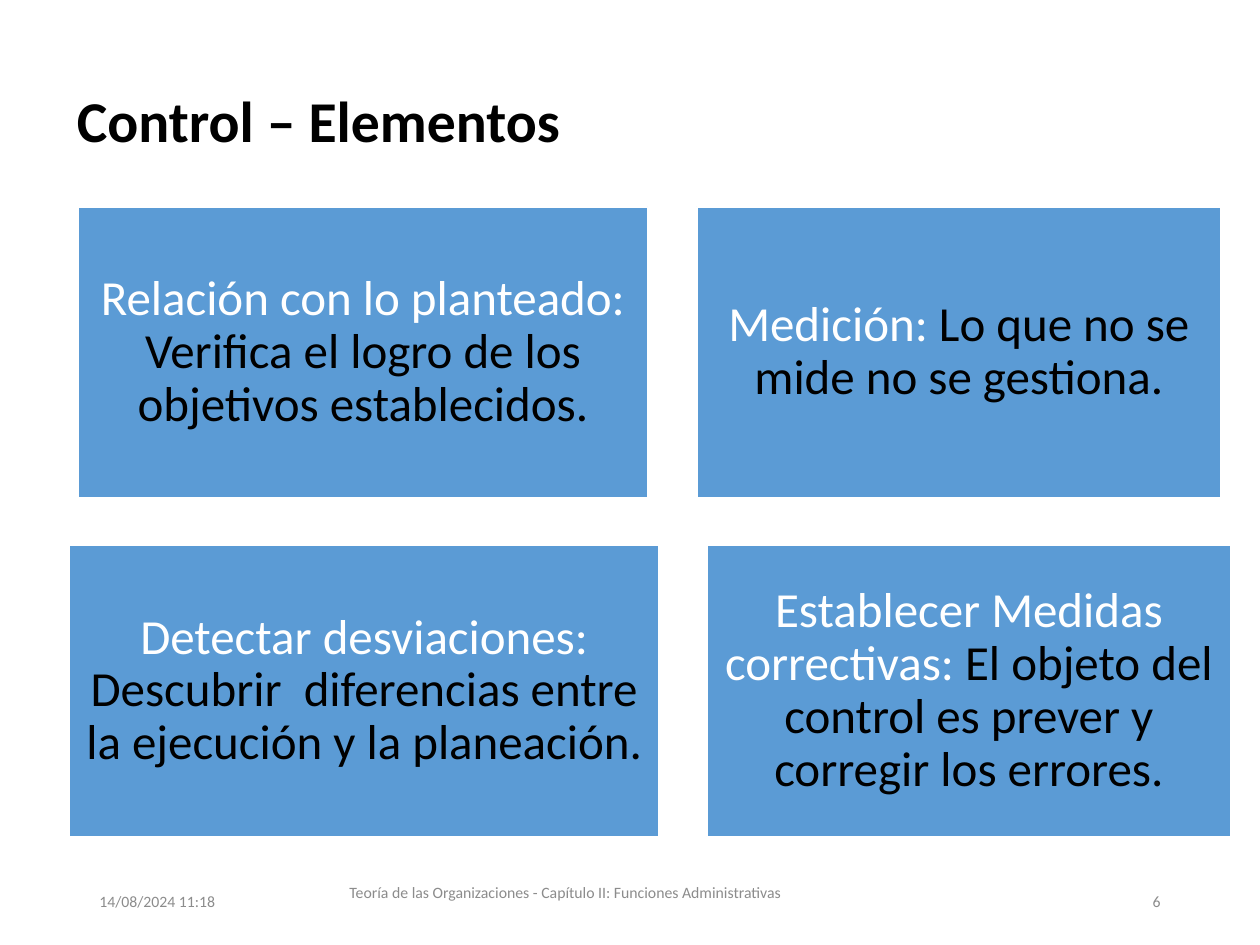
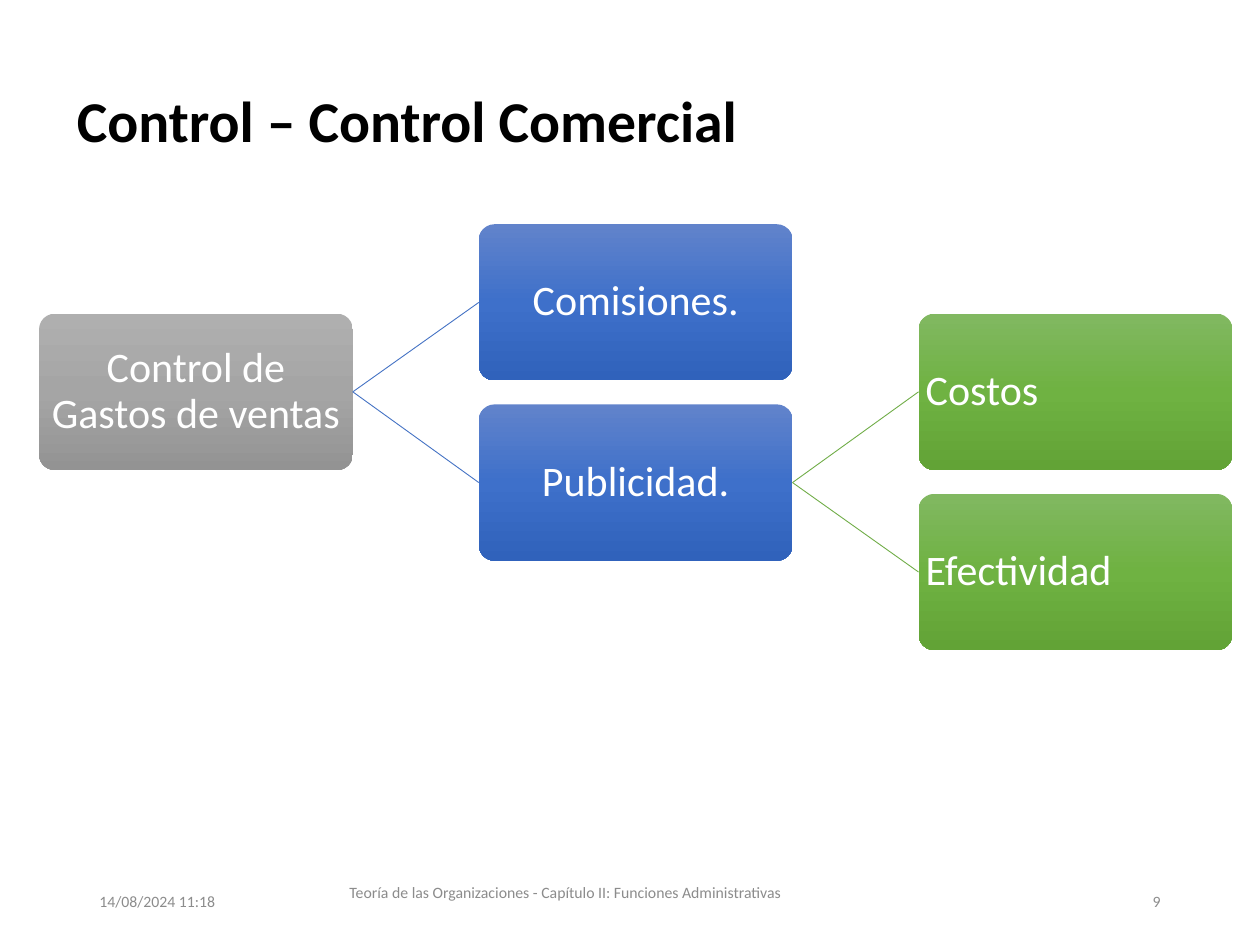
import copy
import pptx
import pptx.util
import pptx.dml.color
import pptx.enum.shapes
import pptx.enum.text
import pptx.oxml
import pptx.oxml.ns

SCALE = 9144
WHITE, BLACK, GREY, STEEL = "FFFFFF", "000000", "8C8C8C", "5B9BD5"
BLUE, GREEN = "4472C4", "70AD47"
ASH = ["AFAFAF", "A5A5A5", "939393"]
NAVY = ["6183CB", "3E70CA", "3062BB"]
LEAF = ["81B861", "6FB242", "62A336"]
ALIGN = pptx.enum.text.PP_ALIGN
KIND = pptx.enum.shapes.MSO_SHAPE


def px(n):
    return pptx.util.Emu(n * SCALE)


def tint(code):
    return pptx.dml.color.RGBColor.from_string(code)


def apply(item, form):
    for name, value in form.items():
        setattr(item, name, value)


class Deck:
    font = "Calibri"
    date = "14/08/2024 11:18"
    foot = "Teoría de las Organizaciones - Capítulo II: Funciones Administrativas"

    def __init__(self):
        self.show = pptx.Presentation()
        apply(self.show, {"slide_width": px(1000), "slide_height": px(750)})
        self.slide = None

    def page(self, title, number):
        self.slide = self.show.slides.add_slide(self.show.slide_layouts[5])
        head = self.slide.shapes.title
        self.place(head, 51, 36, 900, 125)
        self.fill_text(head, [(title, BLACK)], 33, ALIGN.LEFT, bold=True, lead=0.9)
        self.label(self.date, 69, 695, 225, 40, ALIGN.LEFT)
        self.label(self.foot, 187, 683, 523, 50, ALIGN.CENTER)
        self.label(str(number), 706, 695, 225, 40, ALIGN.RIGHT)

    def place(self, item, x, y, w, h):
        apply(item, {"left": px(x), "top": px(y), "width": px(w), "height": px(h)})

    def fill_text(self, item, parts, size, align, inset=None, bold=False, lead=1.0):
        frame = item.text_frame
        apply(frame, {"word_wrap": True,
                      "auto_size": pptx.enum.text.MSO_AUTO_SIZE.NONE,
                      "vertical_anchor": pptx.enum.text.MSO_ANCHOR.MIDDLE})
        if inset is not None:
            sides = ["left", "right", "top", "bottom"]
            apply(frame, {f"margin_{side}": px(inset) for side in sides})
        para = frame.paragraphs[0]
        apply(para, {"alignment": align, "line_spacing": lead})
        for text, color in parts:
            run = para.add_run()
            run.text = text
            apply(run.font, {"name": self.font, "size": pptx.util.Pt(size), "bold": bold})
            run.font.color.rgb = tint(color)

    def label(self, text, x, y, w, h, align):
        box = self.slide.shapes.add_textbox(px(x), px(y), px(w), px(h))
        self.fill_text(box, [(text, GREY)], 9, align)

    def shape(self, kind, x, y, w, h):
        item = self.slide.shapes.add_shape(kind, px(x), px(y), px(w), px(h))
        item.shadow.inherit = False
        return item

    def card(self, head, body, x, y, w, h):
        item = self.shape(KIND.RECTANGLE, x, y, w, h)
        item.fill.solid()
        item.fill.fore_color.rgb = tint(STEEL)
        item.line.color.rgb = tint(WHITE)
        item.line.width = pptx.util.Pt(1)
        self.fill_text(item, [(head + " ", WHITE), (body, BLACK)], 28, ALIGN.CENTER, 12, lead=0.9)

    def node(self, text, colors, x, y, w, h, align=ALIGN.CENTER):
        item = self.shape(KIND.ROUNDED_RECTANGLE, x, y, w, h)
        item.adjustments[0] = 0.1
        item.line.fill.background()
        self.blend(item, colors)
        self.fill_text(item, [(text, WHITE)], 24, align, 2, lead=0.9)
        return item

    def blend(self, item, colors):
        item.fill.gradient()
        item.fill.gradient_angle = 270
        first = item._element.spPr.find(".//" + pptx.oxml.ns.qn("a:gs"))
        first.addnext(copy.deepcopy(first))
        for i, stop in enumerate(item.fill.gradient_stops):
            stop.position = i / 2
            stop.color.rgb = tint(colors[i])

    def link(self, start, end, color):
        line = self.slide.shapes.add_connector(
            pptx.enum.shapes.MSO_CONNECTOR.STRAIGHT, 0, 0, 0, 0)
        line.begin_connect(start, 3)
        line.end_connect(end, 1)
        line.line.color.rgb = tint(color)
        line.line.width = pptx.util.Pt(0.5)
        line._element.spPr.append(pptx.oxml.parse_xml(
            f"<a:effectLst {pptx.oxml.ns.nsdecls('a')}/>"))


def parts(deck):
    deck.page("Control – Elementos", 6)
    cards = [
        ("Relación con lo planteado:", "Verifica el logro de los objetivos establecidos.", 62, 452),
        ("Medición:", "Lo que no se mide no se gestiona.", 553, 416),
        ("Detectar desviaciones:",
         "Descubrir  diferencias entre la ejecución y la planeación.", 55, 468),
        ("Establecer Medidas correctivas:",
         "El objeto del control es prever y corregir los errores.", 561, 416),
    ]
    for i, (head, body, x, w) in enumerate(cards):
        deck.card(head, body, x, 164 + i // 2 * 269, w, 231)


def sales(deck):
    deck.page("Control – Control Comercial", 9)

    def add(text, colors, col, half, align=ALIGN.CENTER):
        return deck.node(text, colors, 31 + col * 349, 178 + half * 143 // 2, 249, 124, align)

    root = add("Control de Gastos de ventas", ASH, 0, 1)
    fees = add("Comisiones.", NAVY, 1, 0)
    ads = add("Publicidad.", NAVY, 1, 2)
    costs = add("Costos", LEAF, 2, 1, ALIGN.LEFT)
    effect = add("Efectividad", LEAF, 2, 3, ALIGN.LEFT)
    for start, ends, color in [(root, (fees, ads), BLUE), (ads, (costs, effect), GREEN)]:
        for end in ends:
            deck.link(start, end, color)


def main():
    deck = Deck()
    parts(deck)
    sales(deck)
    deck.show.save("out.pptx")


if __name__ == "__main__":
    main()
